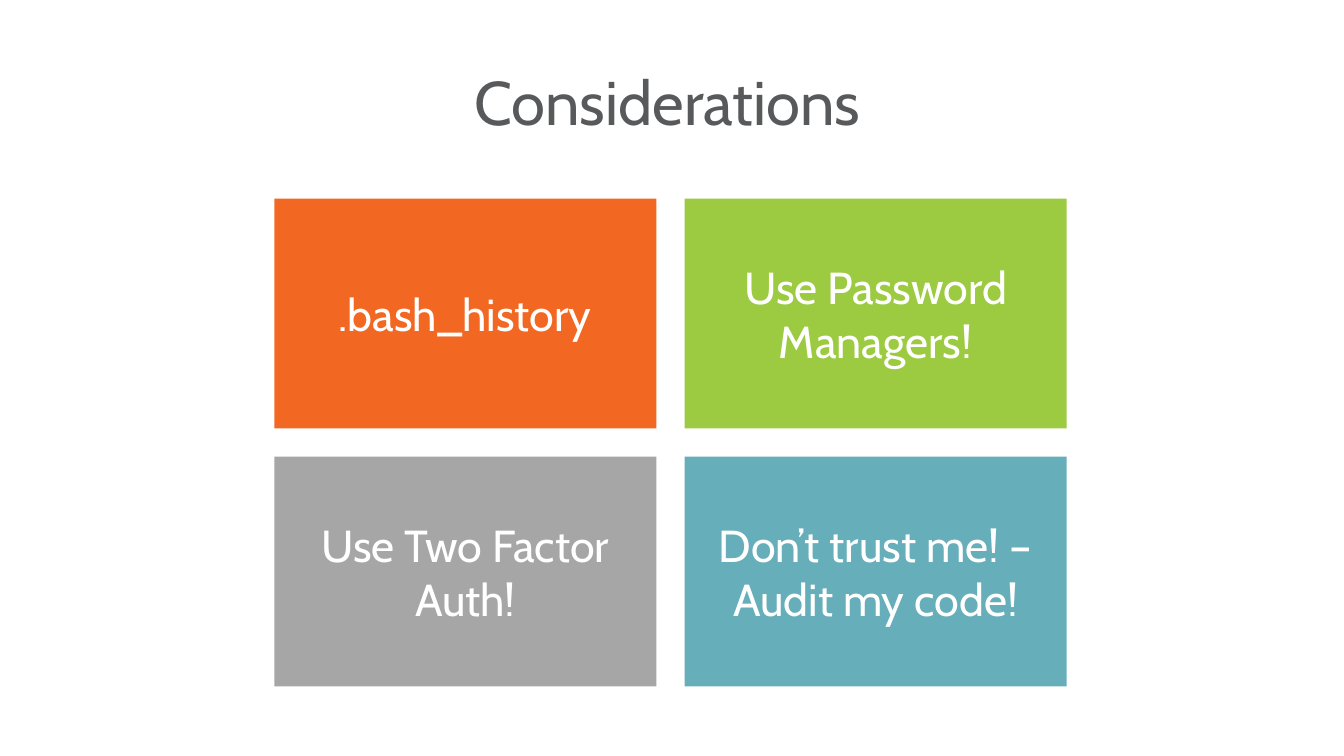
from pptx import Presentation
from pptx.dml.color import RGBColor
from pptx.enum.shapes import MSO_SHAPE
from pptx.enum.text import MSO_ANCHOR, PP_ALIGN
from pptx.util import Inches, Pt

RECT = MSO_SHAPE.RECTANGLE
MIDDLE = MSO_ANCHOR.MIDDLE
CENTER = PP_ALIGN.CENTER

TILES = [
    [(".bash_history", "F26722"), ("Use Password Managers!", "9CCB42")],
    [("Use Two Factor Auth!", "A6A6A6"),
     ("Don’t trust me! – Audit my code!", "66AEBA")],
]


def color(code):
    return RGBColor.from_string(code)


class Deck:
    """Holds the style, the tile grid and the current slide."""

    font = "Cabin"
    left, top = 2.72, 1.97
    wide, high = 3.79, 2.28
    gap = 0.28

    def __init__(self, show):
        self.slide = show.slides.add_slide(show.slide_layouts[6])

    def label(self, shape, text, size, ink, pads, lead=None):
        frame = shape.text_frame
        frame.word_wrap = True
        frame.vertical_anchor = MIDDLE
        frame.margin_left, frame.margin_right = map(Inches, pads)
        frame.margin_top = frame.margin_bottom = Inches(0.05)
        para = frame.paragraphs[0]
        para.alignment = CENTER
        if lead:
            para.line_spacing = lead
        run = para.add_run()
        run.text = text
        run.font.name = self.font
        run.font.size = Pt(size)
        run.font.color.rgb = color(ink)

    def title(self, text):
        box = self.slide.shapes.add_textbox(
            *map(Inches, (0.66, 0.2, 12.02, 1.72)))
        self.label(box, text, 44, "58595B", (0, 0.1), 0.85)

    def tile(self, col, row, text, fill):
        x = self.left + col * (self.wide + self.gap)
        y = self.top + row * (self.high + self.gap)
        shape = self.slide.shapes.add_shape(
            RECT, *map(Inches, (x, y, self.wide, self.high)))
        shape.shadow.inherit = False
        shape.fill.solid()
        shape.fill.fore_color.rgb = color(fill)
        shape.line.fill.background()
        self.label(shape, text, 32, "FFFFFF", (0.05, 0.05))


def main():
    show = Presentation()
    show.slide_width, show.slide_height = Inches(13.33), Inches(7.5)
    deck = Deck(show)
    deck.title("Considerations")
    for row, line in enumerate(TILES):
        for col, (text, fill) in enumerate(line):
            deck.tile(col, row, text, fill)
    show.save("out.pptx")


if __name__ == "__main__":
    main()
